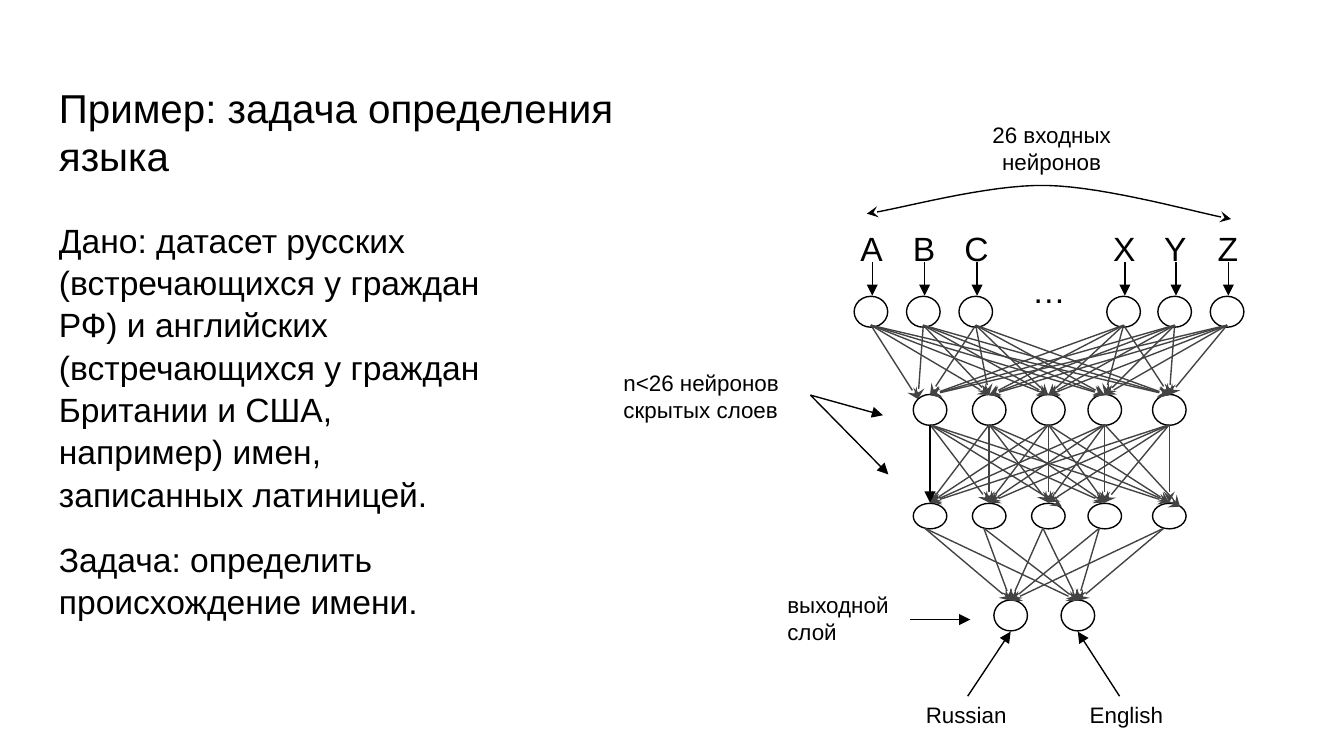
from dataclasses import dataclass
from itertools import product

from lxml.etree import SubElement
from pptx import Presentation
from pptx.dml.color import RGBColor
from pptx.enum.shapes import MSO_CONNECTOR, MSO_SHAPE
from pptx.enum.text import MSO_ANCHOR, PP_ALIGN
from pptx.oxml.ns import qn
from pptx.util import Pt

SCALE = 9144  # EMU per px, 100 px to the inch


@dataclass(frozen=True)
class Theme:
    font: str = "Arial"
    ink: RGBColor = RGBColor(0, 0, 0)
    gray: RGBColor = RGBColor(0x43, 0x43, 0x43)
    paper: RGBColor = RGBColor(255, 255, 255)
    title: Pt = Pt(21.6)
    body: Pt = Pt(18)
    note: Pt = Pt(12)
    line: Pt = Pt(0.75)


THEME = Theme()
MID = {"vertical_anchor": MSO_ANCHOR.MIDDLE}
LOW = {"vertical_anchor": MSO_ANCHOR.BOTTOM}
CENTER = {"alignment": PP_ALIGN.CENTER}

LETTERS = "ABCXYZ"
INPUTS = (648, 687, 726, 836, 874, 913)
HIDDEN = (692, 736, 780, 822, 870)
OUTPUTS = (752, 802)
# Centre line and node height of each layer
LAYERS = ((INPUTS, 232, 23), (HIDDEN, 305, 23),
          (HIDDEN, 384, 19), (OUTPUTS, 458, 23))


def px(*vals):
    return [round(val * SCALE) for val in vals]


def put(item, vals):
    for name, val in vals.items():
        setattr(item, name, val)


def text(slide, box, lines, size, frame=None, para=None, gap=0):
    """Add a text box; gap is the space before each later paragraph."""
    area = slide.shapes.add_textbox(*px(*box)).text_frame
    pad = px(10)[0]
    put(area, {"word_wrap": True, "margin_left": pad, "margin_right": pad,
               "margin_top": pad, "margin_bottom": pad, **(frame or {})})
    for i, line in enumerate(lines):
        par = area.add_paragraph() if i else area.paragraphs[0]
        put(par, {"space_before": Pt(gap if i else 0), **(para or {})})
        run = par.add_run()
        run.text = line
        put(run.font, {"name": THEME.font, "size": size})
        run.font.color.rgb = THEME.ink


def stroke(shape, color, **ends):
    """Style an outline; ends maps headEnd or tailEnd to an arrow type."""
    shape.line.color.rgb = color
    shape.line.width = THEME.line
    edge = shape.element.spPr.find(qn("a:ln"))
    for tag, kind in ends.items():
        SubElement(edge, qn(f"a:{tag}"), type=kind)


def node(slide, x, y, high):
    wide = 25
    oval = slide.shapes.add_shape(
        MSO_SHAPE.OVAL, *px(x - wide / 2, y - high / 2, wide, high))
    oval.shadow.inherit = False
    oval.fill.solid()
    oval.fill.fore_color.rgb = THEME.paper
    stroke(oval, THEME.ink)


def arrow(slide, start, end, color=THEME.ink, tip="triangle"):
    line = slide.shapes.add_connector(
        MSO_CONNECTOR.STRAIGHT, *px(*start, *end))
    stroke(line, color, tailEnd=tip)
    SubElement(line.element.spPr, qn("a:effectLst"))


def mesh(slide, starts, ends, top, low, moved=None):
    """Link every start to every end; moved gives special end points."""
    for a, b in product(starts, ends):
        end = (moved or {}).get((a, b), (b, low))
        arrow(slide, (a, top), end, THEME.gray, "stealth")


def bezier(a, b, c, d, steps=16):
    for i in range(1, steps + 1):
        t = i / steps
        u = 1 - t
        yield tuple(u**3 * p + 3 * u * u * t * q + 3 * u * t * t * r + t**3 * s
                    for p, q, r, s in zip(a, b, c, d))


def brace(slide):
    """Draw the two-headed arc over the input layer."""
    left, peak, right = (645, 159), (779, 138), (916, 163)
    curve = [*bezier(left, (668, 156), (734, 137), peak),
             *bezier(peak, (824, 139), (893, 159), right)]
    path = slide.shapes.build_freeform(*px(*left))
    path.add_line_segments([px(*spot) for spot in curve], close=False)
    arc = path.convert_to_shape()
    arc.shadow.inherit = False
    arc.fill.background()
    stroke(arc, THEME.ink, headEnd="stealth", tailEnd="stealth")


def words(slide):
    text(slide, (34, 61, 521, 83), ["Пример: задача определения языка"],
         THEME.title, LOW)
    text(slide, (34, 152, 352, 359), [
        "Дано: датасет русских (встречающихся у граждан РФ) и английских "
        "(встречающихся у граждан Британии и США, например) имен, "
        "записанных латиницей.",
        "Задача: определить происхождение имени.",
    ], THEME.body, para={"line_spacing": 1.05}, gap=12)


def network(slide):
    for row, y, high in LAYERS:
        for x in row:
            node(slide, x, y, high)
    for x, name in zip(INPUTS, LETTERS):
        text(slide, (x - 19, 169, 39, 31), [name], THEME.body, MID, CENTER)
        arrow(slide, (x + 1, 195), (x + 1, 220))
    text(slide, (752, 221, 57, 19), ["…"], THEME.body, LOW, CENTER)

    first, last = HIDDEN[0], HIDDEN[-1]
    mesh(slide, INPUTS, HIDDEN, 242, 294,
         {(x, first): (683, 297) for x in INPUTS[:2]})
    mesh(slide, HIDDEN[:1], HIDDEN[1:], 316, 374, {(first, 780): (790, 377)})
    mesh(slide, HIDDEN[1:], HIDDEN, 316, 374,
         {(x, last): (878, 377) for x in (736, 822)})
    arrow(slide, (first, 316), (first, 374))
    mesh(slide, [x - 4 for x in HIDDEN], OUTPUTS, 393, 447)


def notes(slide):
    brace(slide)
    text(slide, (722, 98, 121, 24), ["26 входных нейронов"],
         THEME.note, MID, CENTER)
    text(slide, (454, 279, 149, 31), ["n<26 нейронов скрытых слоев"],
         THEME.note, MID)
    for end in ((657, 309), (661, 353)):
        arrow(slide, (603, 294), end)
    text(slide, (576, 430, 99, 31), ["выходной слой"], THEME.note)
    arrow(slide, (677, 461), (722, 461))
    for name, left, foot, x in zip(("Russian", "English"), (679, 801),
                                   (720, 833), OUTPUTS):
        text(slide, (left, 514, 84, 18), [name], THEME.note)
        arrow(slide, (foot, 518), (x, 470))


def main():
    deck = Presentation()
    wide, high = px(1000, 562.5)
    put(deck, {"slide_width": wide, "slide_height": high})
    slide = deck.slides.add_slide(deck.slide_layouts[6])
    words(slide)
    network(slide)
    notes(slide)
    deck.save("out.pptx")


if __name__ == "__main__":
    main()
